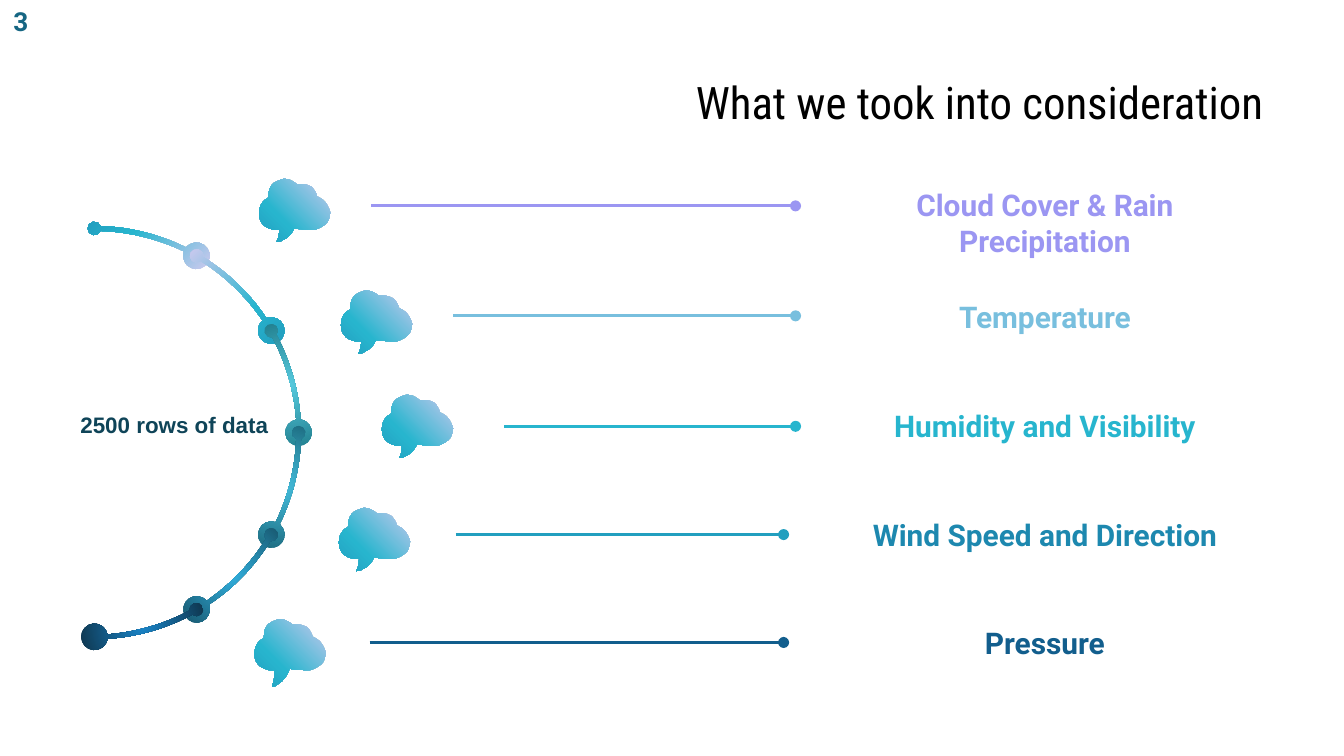
"""Build a slide listing the weather factors considered, beside an arc of linked dots."""
from dataclasses import dataclass
from math import asin, cos, pi, radians, sin, tan

from lxml import etree
from pptx import Presentation
from pptx.dml.color import RGBColor
from pptx.enum.shapes import MSO_CONNECTOR
from pptx.enum.text import MSO_ANCHOR, PP_ALIGN
from pptx.oxml import parse_xml
from pptx.oxml.ns import nsdecls, qn
from pptx.util import Pt

STRAIGHT = MSO_CONNECTOR.STRAIGHT
TOP, MIDDLE = MSO_ANCHOR.TOP, MSO_ANCHOR.MIDDLE
LEFT, CENTER, RIGHT = PP_ALIGN.LEFT, PP_ALIGN.CENTER, PP_ALIGN.RIGHT

Point = tuple[float, float]
Curve = tuple[Point, Point, Point]

ARC_CENTER = (50.6, 231.8)
ARC_RADIUS = 109.4
ARC_STEP = 30
BAND = 1.3
SMALL_DOT, LARGE_DOT = 3.6, 7.1

CLOUD_UNIT = 0.72
CLOUD_BASE, CLOUD_HEIGHT = 38, 47
CLOUD_START = (19, 0)
CLOUD_CURVES = (
    (18, 0, 15, 1, 13, 2), (7, 5, 7, 10, 7, 14), (7, 14, 6, 15, 4, 16),
    (1, 19, 0, 22, 0, 26), (0, 34, 6, 37, 11, 38), (12, 38, 14, 38, 15, 38),
    (15, 40, 15, 43, 13, 47), (15, 47, 16, 47, 17, 46), (22, 44, 25, 40, 26, 37),
    (26, 37, 34, 38, 41, 38), (42, 38, 44, 37, 46, 36), (48, 35, 51, 33, 52, 30),
    (53, 28, 53, 27, 53, 25), (52, 21, 50, 18, 48, 16), (47, 15, 45, 14, 43, 13),
    (43, 13, 43, 10, 39, 6), (37, 5, 35, 4, 33, 4), (31, 4, 28, 4, 28, 4),
    (28, 4, 24, 0, 19, 0),
)


@dataclass
class Gradient:
    stops: tuple[tuple[int, str], ...]
    angle: int | None = None


@dataclass
class Factor:
    label: str
    color: str
    label_top: float
    line_y: float
    line_start: float
    line_end: float
    cloud: Point
    line_color: str = ""
    anchor: MSO_ANCHOR = MIDDLE
    cloud_height: float = CLOUD_HEIGHT


SKY = ((0, "C9C9EE"), (66, "27B5CE"), (100, "229FBF"))
CLOUD_FILL = Gradient(SKY, 135)
SEGMENT_FILLS = (
    Gradient(SKY, 225),
    Gradient(SKY, 45),
    Gradient(((0, "58CBDF"), (100, "238191"))),
    Gradient(((0, "45BFDE"), (100, "1E6E83"))),
    Gradient(((0, "31AFDD"), (100, "195B73"))),
    Gradient(((0, "1A85C8"), (100, "0F3750"))),
)
FACTORS = (
    Factor("Cloud Cover & Rain Precipitation", "9B96F2", 92.9, 110.3, 198.9, 426.2,
           (138.8, 95.8), anchor=TOP),
    Factor("Temperature", "78BFDE", 149, 169.2, 242.8, 426.2, (182.7, 155.6)),
    Factor("Humidity and Visibility", "27B5CE", 207.4, 228.4, 270, 426.2, (204.6, 211.5)),
    Factor("Wind Speed and Direction", "1D88AF", 265.7, 286.4, 244.2, 419.8,
           (181.6, 272.1), line_color="229FBF"),
    Factor("Pressure", "125E8D", 324, 344.2, 198, 419.8, (136.4, 331.7), cloud_height=50),
)


def hex_color(value: str) -> RGBColor:
    return RGBColor.from_string(value)


def set_gradient(shape, gradient: Gradient) -> None:
    stops = "".join(
        f'<a:gs pos="{position * 1000}"><a:srgbClr val="{color}"/></a:gs>'
        for position, color in gradient.stops
    )
    if gradient.angle is None:
        shade = ('<a:path path="circle"><a:fillToRect l="50000" t="50000" '
                 'r="50000" b="50000"/></a:path>')
    else:
        shade = f'<a:lin ang="{gradient.angle * 60000}" scaled="0"/>'
    fill = parse_xml(
        f'<a:gradFill {nsdecls("a")} rotWithShape="1"><a:gsLst>{stops}</a:gsLst>{shade}</a:gradFill>'
    )
    shape.fill.background()
    properties = shape.element.spPr
    properties.replace(properties.find(qn("a:noFill")), fill)


def add_outline(slide, start: Point, curves: list[Curve], gradient: Gradient) -> None:
    """Draw a closed freeform whose line segments are bent into cubic curves."""
    builder = slide.shapes.build_freeform(Pt(start[0]), Pt(start[1]), scale=1.0)
    builder.add_line_segments([(Pt(x), Pt(y)) for _, _, (x, y) in curves], close=True)
    shape = builder.convert_to_shape()
    for segment, curve in zip(list(shape.element.iter(qn("a:lnTo"))), curves):
        segment.tag = qn("a:cubicBezTo")
        for position, (x, y) in enumerate(curve[:2]):
            control = etree.Element(qn("a:pt"), x=str(Pt(x) - shape.left), y=str(Pt(y) - shape.top))
            segment.insert(position, control)
    shape.shadow.inherit = False
    shape.line.fill.background()
    set_gradient(shape, gradient)


def circle_point(center: Point, radius: float, turn: float) -> Point:
    return center[0] + radius * cos(turn), center[1] + radius * sin(turn)


def arc_curves(center: Point, radius: float, start: float, end: float, count: int) -> list[Curve]:
    step = (end - start) / count
    reach = 4 / 3 * tan(step / 4) * radius
    curves = []
    for index in range(count):
        first, last = start + index * step, start + (index + 1) * step
        x0, y0 = circle_point(center, radius, first)
        x3, y3 = circle_point(center, radius, last)
        curves.append((
            (x0 - reach * sin(first), y0 + reach * cos(first)),
            (x3 + reach * sin(last), y3 - reach * cos(last)),
            (x3, y3),
        ))
    return curves


def dot_curves(center: Point, radius: float, heading: float) -> list[Curve]:
    """Return a clockwise circle, open where the band leaves along the heading."""
    gap = asin(BAND / radius)
    return arc_curves(center, radius, heading + gap, heading + 2 * pi - gap, 4)


def add_segment(slide, index: int, gradient: Gradient) -> None:
    start, end = (radians(step * ARC_STEP - 90) for step in (index, index + 1))
    first, last = start + SMALL_DOT / ARC_RADIUS, end - LARGE_DOT / ARC_RADIUS
    small_center = circle_point(ARC_CENTER, ARC_RADIUS, start)
    large_center = circle_point(ARC_CENTER, ARC_RADIUS, end)
    heading = start + pi / 2
    curves = dot_curves(small_center, SMALL_DOT, heading)
    curves += arc_curves(ARC_CENTER, ARC_RADIUS + BAND, first, last, 1)
    curves += dot_curves(large_center, LARGE_DOT, end - pi / 2)
    curves += arc_curves(ARC_CENTER, ARC_RADIUS - BAND, last, first, 1)
    origin = circle_point(small_center, SMALL_DOT, heading + asin(BAND / SMALL_DOT))
    add_outline(slide, origin, curves, gradient)


def add_cloud(slide, corner: Point, height: float) -> None:
    stretch = (height - CLOUD_BASE) / (CLOUD_HEIGHT - CLOUD_BASE)

    def place(x: float, y: float) -> Point:
        tail = max(0, y - CLOUD_BASE) * (stretch - 1)
        return corner[0] + x * CLOUD_UNIT, corner[1] + (y + tail) * CLOUD_UNIT

    curves = [(place(*c[:2]), place(*c[2:4]), place(*c[4:])) for c in CLOUD_CURVES]
    add_outline(slide, place(*CLOUD_START), curves, CLOUD_FILL)


def add_text(slide, text: str, box: tuple[float, float, float, float], size: float, color: str,
             font: str = "Roboto", bold: bool = True, align: PP_ALIGN = CENTER,
             anchor: MSO_ANCHOR = MIDDLE, inset: float = 7.2, wrap: bool = True) -> None:
    text_frame = slide.shapes.add_textbox(*map(Pt, box)).text_frame
    text_frame.word_wrap = wrap
    text_frame.vertical_anchor = anchor
    text_frame.margin_top = text_frame.margin_bottom = Pt(inset)
    text_frame.text = text
    paragraph = text_frame.paragraphs[0]
    paragraph.alignment = align
    run_font = paragraph.runs[0].font
    run_font.name, run_font.size, run_font.bold = font, Pt(size), bold
    run_font.color.rgb = hex_color(color)


def add_pointer(slide, factor: Factor) -> None:
    connector = slide.shapes.add_connector(
        STRAIGHT, Pt(factor.line_start), Pt(factor.line_y), Pt(factor.line_end), Pt(factor.line_y)
    )
    connector.line.width = Pt(1.5)
    connector.line.color.rgb = hex_color(factor.line_color or factor.color)
    properties = connector.element.spPr
    etree.SubElement(properties.find(qn("a:ln")), qn("a:tailEnd"), type="oval")
    etree.SubElement(properties, qn("a:effectLst"))


presentation = Presentation()
presentation.slide_width, presentation.slide_height = Pt(720), Pt(405)
slide = presentation.slides.add_slide(presentation.slide_layouts[6])
add_text(slide, "What we took into consideration", (36, 31.7, 648, 45.4), 24, "000000",
         font="Roboto Condensed", bold=False, align=RIGHT)
for index, gradient in enumerate(SEGMENT_FILLS):
    add_segment(slide, index, gradient)
for factor in FACTORS:
    add_cloud(slide, factor.cloud, factor.cloud_height)
    add_pointer(slide, factor)
    add_text(slide, factor.label, (450, factor.label_top, 219.6, 41), 16, factor.color,
             anchor=factor.anchor)
add_text(slide, "2500 rows of data", (36, 216.7, 117.4, 21.6), 12, "0F4458",
         font="Arial", align=LEFT, anchor=TOP, inset=3.6)
add_text(slide, "3", (0, -0.7, 22.3, 24.5), 14, "166683", anchor=TOP, inset=3.6, wrap=False)
presentation.save("out.pptx")
